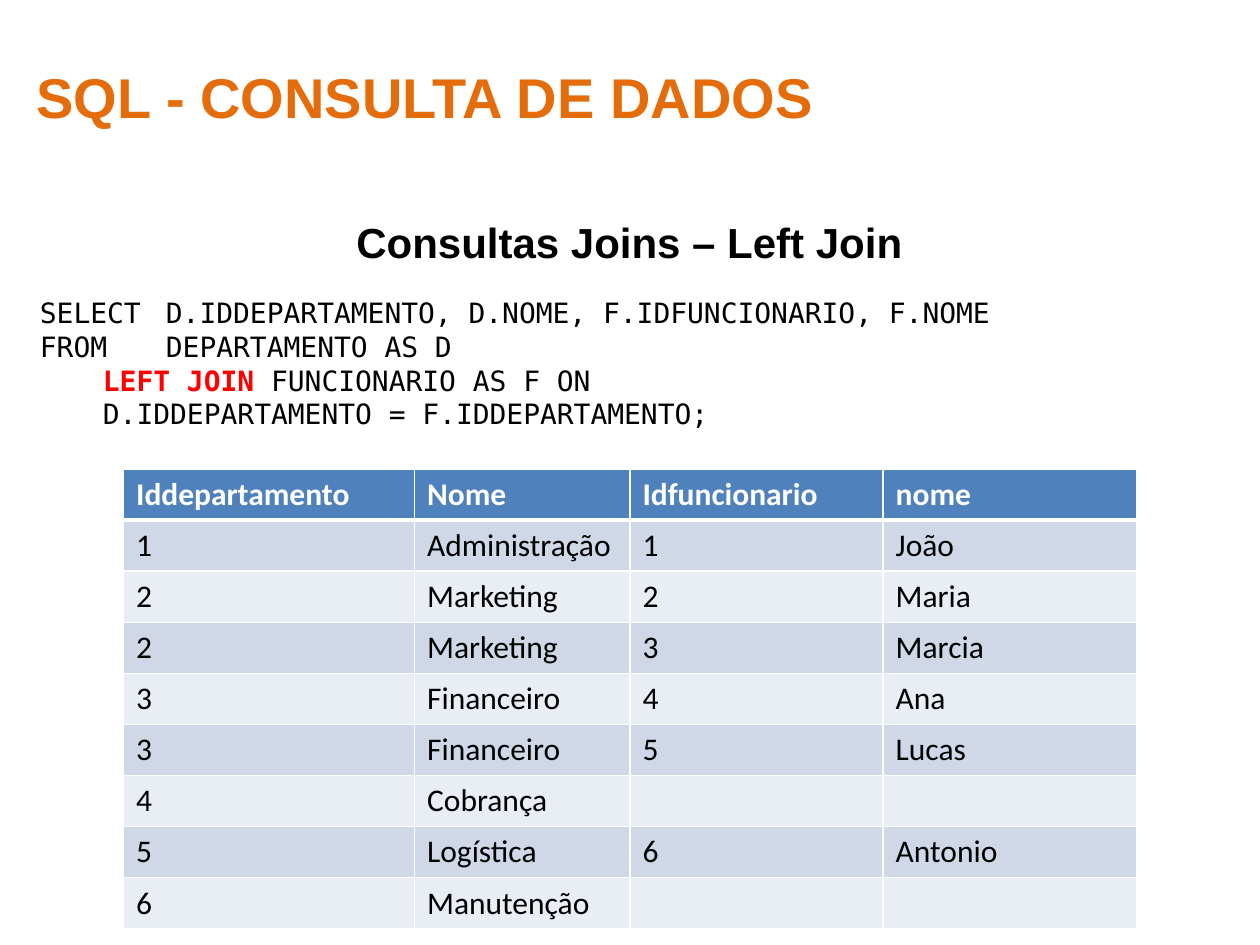
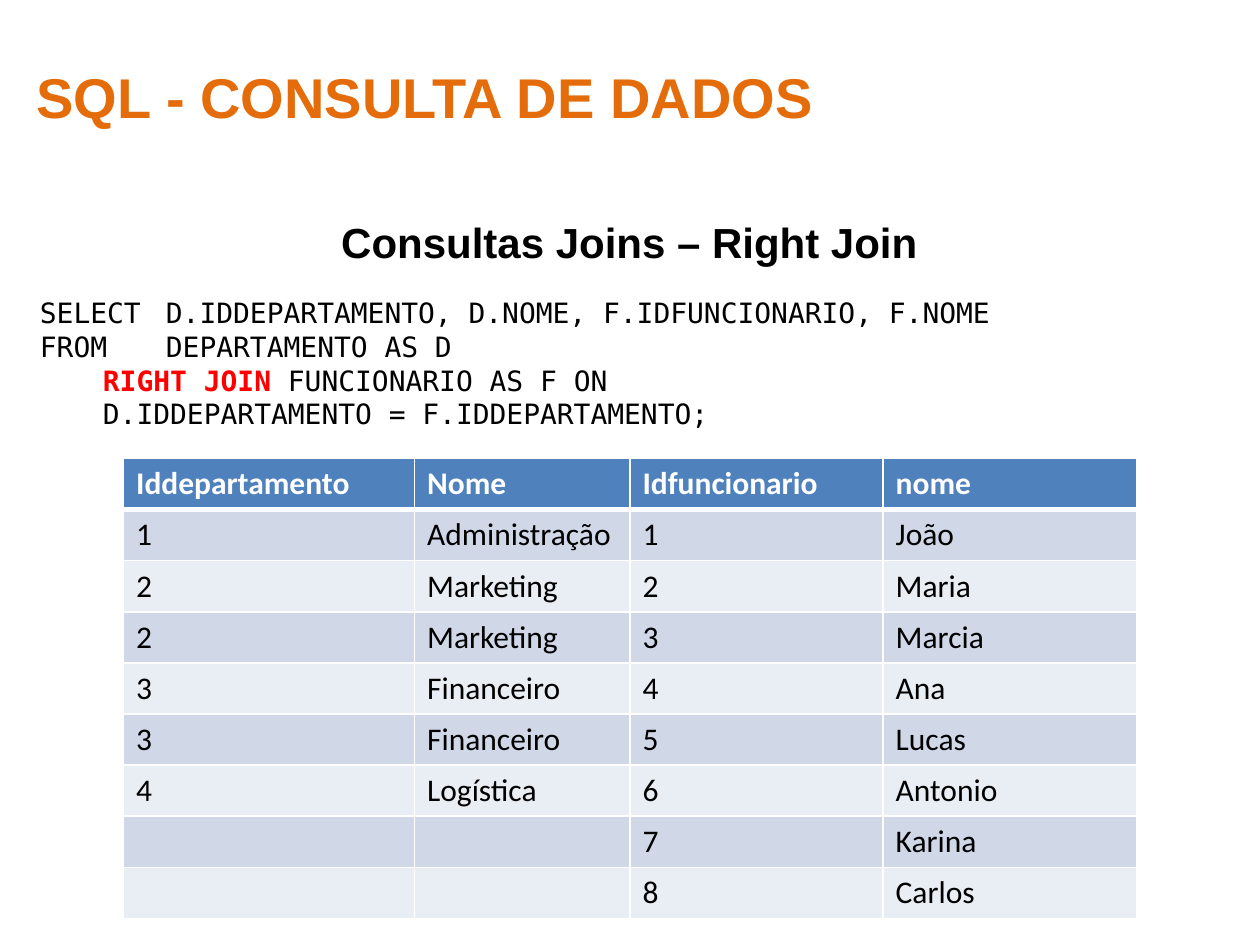
from dataclasses import dataclass

from lxml.etree import SubElement
from pptx import Presentation
from pptx.dml.color import RGBColor
from pptx.enum.text import MSO_ANCHOR, MSO_AUTO_SIZE, PP_ALIGN
from pptx.oxml.ns import qn
from pptx.util import Pt


@dataclass(frozen=True)
class Theme:
    orange: str = "E46C0A"
    black: str = "000000"
    red: str = "FF0000"
    white: str = "FFFFFF"
    header: str = "4F81BD"
    bands: tuple = ("D0D8E8", "E9EDF4")
    heading_font: str = "Arial"
    code_font: str = "DejaVu Sans Mono"
    table_font: str = "Calibri"
    title_size: int = 32
    subtitle_size: int = 24
    code_size: int = 16
    table_size: int = 18


theme = Theme()


def format_runs(paragraph, font, size, color, bold=False):
    for run in paragraph.runs:
        run.font.name = font
        run.font.size = Pt(size)
        run.font.bold = bold
        run.font.color.rgb = RGBColor.from_string(color)


def draw_borders(cell, bottom_width):
    properties = cell._tc.get_or_add_tcPr()
    for side, width in (("L", 1), ("R", 1), ("T", 1), ("B", bottom_width)):
        line = SubElement(properties, qn(f"a:ln{side}"), w=str(Pt(width)))
        fill = SubElement(line, qn("a:solidFill"))
        SubElement(fill, qn("a:srgbClr"), val=theme.white)


columns = ("Iddepartamento", "Nome", "Idfuncionario", "nome")
column_widths = (166.3, 123.1, 144.7, 144.7)
row_height = 29.2

matched_rows = [
    ("1", "Administração", "1", "João"),
    ("2", "Marketing", "2", "Maria"),
    ("2", "Marketing", "3", "Marcia"),
    ("3", "Financeiro", "4", "Ana"),
    ("3", "Financeiro", "5", "Lucas"),
]
left_rows = [
    ("4", "Cobrança", "", ""),
    ("5", "Logística", "6", "Antonio"),
    ("6", "Manutenção", "", ""),
]
right_rows = [
    ("4", "Logística", "6", "Antonio"),
    ("", "", "7", "Karina"),
    ("", "", "8", "Carlos"),
]
joins = [("Left Join", left_rows, 268), ("Right Join", right_rows, 262)]

presentation = Presentation()
presentation.slide_width = Pt(720)
presentation.slide_height = Pt(540)

for join_name, join_rows, table_top in joins:
    slide = presentation.slides.add_slide(presentation.slide_layouts[5])

    title = slide.shapes.title
    title.left, title.top, title.width, title.height = Pt(13.7), Pt(15.1), Pt(679), Pt(79.2)
    title.text_frame.text = "SQL - CONSULTA DE DADOS"
    title.text_frame.auto_size = MSO_AUTO_SIZE.NONE
    title.text_frame.vertical_anchor = MSO_ANCHOR.MIDDLE
    paragraph = title.text_frame.paragraphs[0]
    paragraph.alignment = PP_ALIGN.LEFT
    format_runs(paragraph, theme.heading_font, theme.title_size, theme.orange, True)

    subtitle = slide.shapes.add_textbox(Pt(25.2), Pt(120.2), Pt(668.9), Pt(43.9))
    subtitle.text_frame.word_wrap = True
    subtitle.text_frame.text = f"Consultas Joins – {join_name}"
    paragraph = subtitle.text_frame.paragraphs[0]
    paragraph.alignment = PP_ALIGN.CENTER
    format_runs(paragraph, theme.heading_font, theme.subtitle_size, theme.black, True)

    query = slide.shapes.add_textbox(Pt(15.8), Pt(165.6), Pt(702.7), Pt(85))
    query.text_frame.word_wrap = True
    query.text_frame.text = "\n".join((
        "SELECT\tD.IDDEPARTAMENTO, D.NOME, F.IDFUNCIONARIO, F.NOME",
        "FROM\tDEPARTAMENTO AS D",
        "\t",
        "\tD.IDDEPARTAMENTO = F.IDDEPARTAMENTO;",
    ))
    join_line = query.text_frame.paragraphs[2]
    keyword = join_line.add_run()
    keyword.text = join_name.upper()
    join_line.add_run().text = " FUNCIONARIO AS F ON"
    for paragraph in query.text_frame.paragraphs:
        format_runs(paragraph, theme.code_font, theme.code_size, theme.black)
    keyword.font.bold = True
    keyword.font.color.rgb = RGBColor.from_string(theme.red)

    rows = [columns, *matched_rows, *join_rows]
    table = slide.shapes.add_table(
        len(rows), len(columns), Pt(70.6), Pt(table_top),
        Pt(sum(column_widths)), Pt(row_height * len(rows)),
    ).table
    for column, width in zip(table.columns, column_widths):
        column.width = Pt(width)
    for row_index, values in enumerate(rows):
        is_header = row_index == 0
        table.rows[row_index].height = Pt(row_height)
        fill_color = theme.header if is_header else theme.bands[(row_index - 1) % 2]
        text_color = theme.white if is_header else theme.black
        for column_index, value in enumerate(values):
            cell = table.cell(row_index, column_index)
            draw_borders(cell, 3 if is_header else 1)
            cell.fill.solid()
            cell.fill.fore_color.rgb = RGBColor.from_string(fill_color)
            if value:
                cell.text_frame.text = value
                format_runs(cell.text_frame.paragraphs[0], theme.table_font,
                            theme.table_size, text_color, is_header)

presentation.save("out.pptx")
